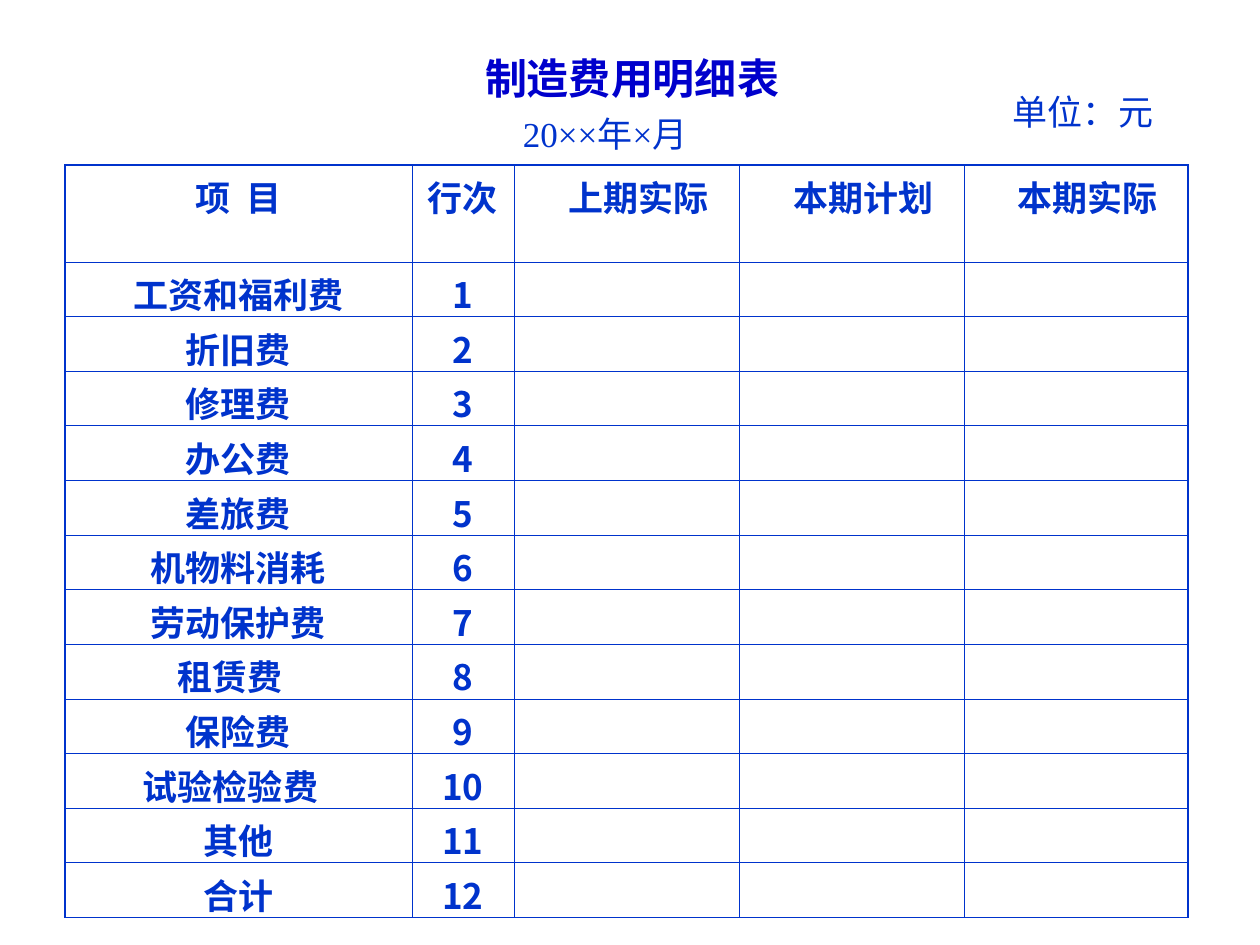
from dataclasses import dataclass

from lxml import etree
from pptx import Presentation
from pptx.dml.color import RGBColor
from pptx.enum.text import MSO_AUTO_SIZE, PP_ALIGN
from pptx.oxml.ns import qn
from pptx.util import Emu, Pt

PX = 914400 // 126
CENTER = PP_ALIGN.CENTER
LEFT = PP_ALIGN.LEFT
GROW = MSO_AUTO_SIZE.SHAPE_TO_FIT_TEXT
BLUE = "0033CC"
SERIF = "Times New Roman"
SANS = "Noto Sans CJK SC"
THIN, THICK = 0.45, 1.08

TABLE_LEFT, TABLE_TOP = 65, 165
COLUMN_WIDTHS = [347, 102, 225, 225, 224]
HEADER_HEIGHT, BODY_HEIGHT = 97, 656
SIDE_MARGIN, EDGE_MARGIN = 13, 6


@dataclass
class Caption:
    text: str
    left: int
    top: int
    width: int
    height: int
    size: int = 20
    color: str = BLUE
    bold: bool = False
    indent: int = 0


@dataclass
class Entry:
    text: str
    left_indent: int = 0
    right_indent: int = 0
    tracking: int = 0


CAPTIONS = [
    Caption("制造费用明细表", 472, 47, 319, 63, size=24, color="0000CC", bold=True),
    Caption("20××年×月", 501, 106, 278, 55, indent=9),
    Caption("单位：元", 1000, 84, 165, 55),
]
HEADERS = [
    Entry("项 目", tracking=225),
    Entry("行次"),
    Entry("上期实际", left_indent=24),
    Entry("本期计划", left_indent=24),
    Entry("本期实际", left_indent=24),
]
EXPENSES = [
    Entry("工资和福利费"),
    Entry("折旧费"),
    Entry("修理费"),
    Entry("办公费"),
    Entry("差旅费"),
    Entry("机物料消耗"),
    Entry("劳动保护费"),
    Entry("租赁费", right_indent=16),
    Entry("保险费"),
    Entry("试验检验费", right_indent=16),
    Entry("其他"),
    Entry("合计"),
]


def px(length: float) -> Emu:
    return Emu(round(length * PX))


def rgb(color: str) -> RGBColor:
    return RGBColor.from_string(color)


def apply(target, formats: dict) -> None:
    for attribute, value in formats.items():
        setattr(target, attribute, value)


def write(frame, text: str, align, face: str, size: int, color: str,
          bold: bool, tracking: int = 0) -> None:
    paragraph = frame.paragraphs[0]
    paragraph.alignment = align
    run = paragraph.add_run()
    run.text = text
    apply(run.font, {"name": face, "size": Pt(size), "bold": bold})
    run.font.color.rgb = rgb(color)
    properties = run.font._element
    etree.SubElement(properties, qn("a:ea"), typeface=SANS)
    if tracking:
        properties.set("spc", str(tracking))


def add_caption(slide, caption: Caption) -> None:
    box = slide.shapes.add_textbox(
        px(caption.left), px(caption.top), px(caption.width), px(caption.height))
    frame = box.text_frame
    apply(frame, {
        "word_wrap": True,
        "auto_size": GROW,
        "margin_left": px(SIDE_MARGIN + caption.indent),
        "margin_right": 0,
        "margin_top": px(EDGE_MARGIN),
        "margin_bottom": px(EDGE_MARGIN),
    })
    write(frame, caption.text, LEFT, SERIF, caption.size, caption.color, caption.bold)


def draw_borders(cell, outer_sides: dict[str, bool]) -> None:
    properties = cell._tc.get_or_add_tcPr()
    for side, is_outer in outer_sides.items():
        width = Pt(THICK if is_outer else THIN)
        border = etree.SubElement(properties, qn(f"a:ln{side}"), w=str(int(width)))
        fill = etree.SubElement(border, qn("a:solidFill"))
        etree.SubElement(fill, qn("a:srgbClr"), val=BLUE)


def fill_cell(cell, entry: Entry) -> None:
    apply(cell, {
        "margin_left": px(SIDE_MARGIN + entry.left_indent),
        "margin_right": px(SIDE_MARGIN + entry.right_indent),
        "margin_top": px(EDGE_MARGIN),
        "margin_bottom": px(EDGE_MARGIN),
    })
    if entry.text:
        write(cell.text_frame, entry.text, CENTER, SANS, 20, BLUE, True, entry.tracking)


def add_expense_table(slide) -> None:
    blanks = [Entry("")] * (len(HEADERS) - 2)
    entries = [HEADERS] + [
        [expense, Entry(str(number)), *blanks]
        for number, expense in enumerate(EXPENSES, 1)
    ]
    last_row, last_column = len(entries) - 1, len(HEADERS) - 1
    table = slide.shapes.add_table(
        len(entries), len(HEADERS), px(TABLE_LEFT), px(TABLE_TOP),
        px(sum(COLUMN_WIDTHS)), px(HEADER_HEIGHT + BODY_HEIGHT)).table
    apply(table, {"first_row": False, "horz_banding": False})
    for column, width in zip(table.columns, COLUMN_WIDTHS):
        column.width = px(width)
    for r, row_entries in enumerate(entries):
        table.rows[r].height = px(BODY_HEIGHT / len(EXPENSES) if r else HEADER_HEIGHT)
        for c, entry in enumerate(row_entries):
            cell = table.cell(r, c)
            fill_cell(cell, entry)
            draw_borders(cell, {"L": c == 0, "R": c == last_column,
                                "T": r == 0, "B": r == last_row})
            cell.fill.background()


def main() -> None:
    presentation = Presentation()
    apply(presentation, {"slide_width": px(1260), "slide_height": px(945)})
    slide = presentation.slides.add_slide(presentation.slide_layouts[6])
    for caption in CAPTIONS:
        add_caption(slide, caption)
    add_expense_table(slide)
    presentation.save("out.pptx")


if __name__ == "__main__":
    main()
